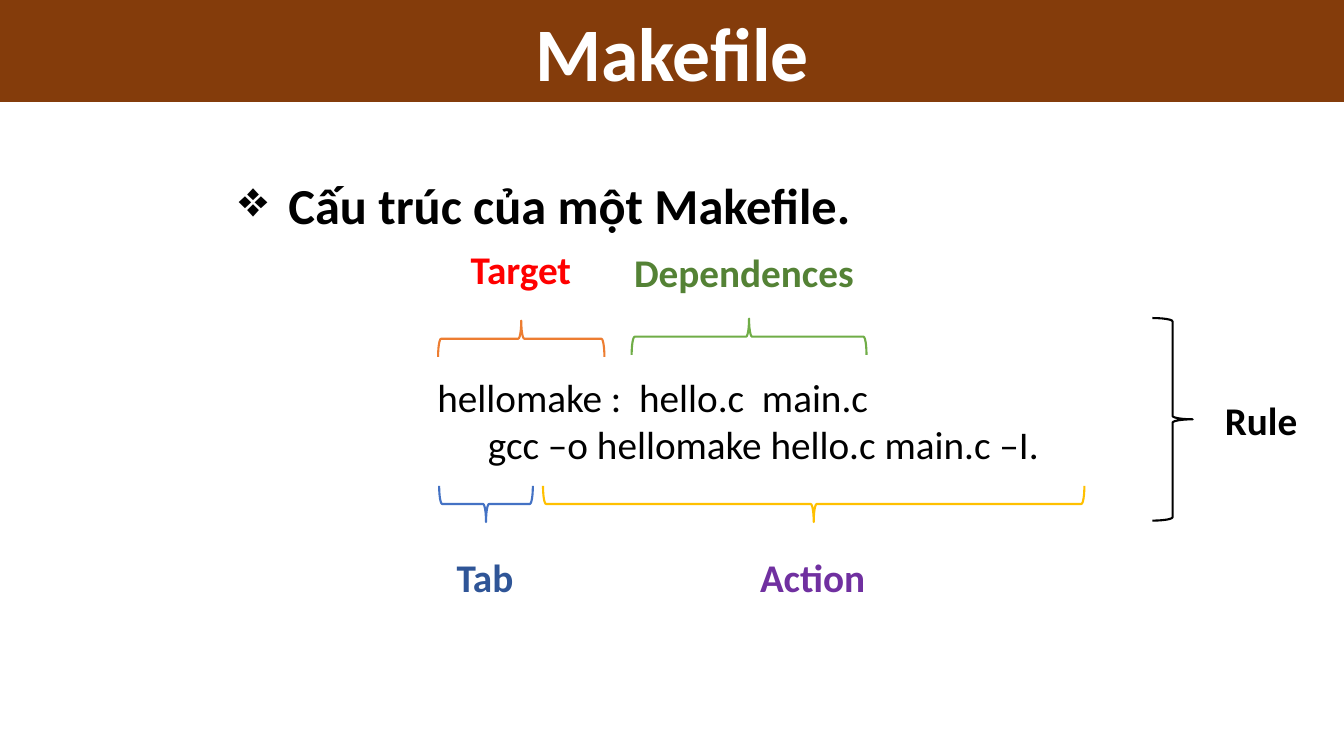
"""Build the slide that explains the parts of a Makefile rule."""
from lxml import etree
from pptx import Presentation
from pptx import util as u
from pptx.dml.color import RGBColor
from pptx.enum import shapes, text
from pptx.oxml.ns import qn

BROWN = RGBColor(0x84, 0x3C, 0x0B)
WHITE = RGBColor(0xFF, 0xFF, 0xFF)
BLACK = RGBColor(0x00, 0x00, 0x00)
RED = RGBColor(0xFF, 0x00, 0x00)
DARK_GREEN = RGBColor(0x54, 0x82, 0x35)
DARK_BLUE = RGBColor(0x2F, 0x55, 0x97)
PURPLE = RGBColor(0x70, 0x30, 0xA0)
ORANGE = RGBColor(0xED, 0x7D, 0x31)
GREEN = RGBColor(0x70, 0xAD, 0x47)
BLUE = RGBColor(0x44, 0x72, 0xC4)
GOLD = RGBColor(0xFF, 0xC0, 0x00)


class MakefileSlide:
    font_name = "Calibri"
    line_width = u.Pt(1.5)

    def __init__(self, slide):
        self.slide = slide

    def style(self, paragraph, size, color, bold):
        font = paragraph.font
        font.name, font.size, font.bold = self.font_name, u.Pt(size), bold
        font.color.rgb = color

    def header(self, title, width, height):
        band = self.slide.shapes.add_shape(
            shapes.MSO_SHAPE.RECTANGLE, 0, 0, u.Inches(width), u.Inches(height))
        band.shadow.inherit = False
        band.fill.solid()
        band.fill.fore_color.rgb = BROWN
        band.line.fill.background()
        frame = band.text_frame
        frame.text = title
        frame.vertical_anchor = text.MSO_ANCHOR.MIDDLE
        frame.paragraphs[0].alignment = text.PP_ALIGN.CENTER
        self.style(frame.paragraphs[0], 54, WHITE, True)

    def label(self, words, left, top, width, height=0.57, size=28, color=BLACK, bold=True):
        box = self.slide.shapes.add_textbox(*map(u.Inches, (left, top, width, height)))
        frame = box.text_frame
        frame.word_wrap = False
        frame.auto_size = text.MSO_AUTO_SIZE.SHAPE_TO_FIT_TEXT
        frame.text = words
        for paragraph in frame.paragraphs:
            self.style(paragraph, size, color, bold)
        return frame

    def bullet(self, words, left, top, width, height):
        frame = self.label(words, left, top, width, height, size=36)
        properties = frame.paragraphs[0]._p.get_or_add_pPr()
        indent = u.Inches(0.38)
        properties.set("marL", str(indent))
        properties.set("indent", str(-indent))
        mark = etree.Element(qn("a:buChar"), char="❖")
        properties.insert(0, mark)

    def brace(self, center_x, center_y, span, color, rotation=0, depth=0.36):
        brace = self.slide.shapes.add_shape(
            shapes.MSO_SHAPE.RIGHT_BRACE,
            u.Inches(center_x - depth / 2), u.Inches(center_y - span / 2),
            u.Inches(depth), u.Inches(span))
        brace.rotation = rotation
        brace.shadow.inherit = False
        brace.fill.background()
        brace.line.color.rgb = color
        brace.line.width = self.line_width


def main():
    deck = Presentation()
    deck.slide_width, deck.slide_height = u.Inches(13.33), u.Inches(7.5)
    page = MakefileSlide(deck.slides.add_slide(deck.slide_layouts[6]))

    page.header("Makefile", 13.33, 1.01)
    page.bullet(" Cấu trúc của một Makefile.", 2.27, 1.68, 6.4, 0.71)
    page.label("hellomake :  hello.c  main.c\n\tgcc –o hellomake hello.c main.c –I.",
               4.24, 3.65, 6.74, 1.04, bold=False)

    above, below = 270, 90
    page.brace(5.17, 3.36, 1.65, ORANGE, above)
    page.brace(7.43, 3.34, 2.33, GREEN, above)
    page.brace(4.82, 5, 0.93, BLUE, below)
    page.brace(8.07, 5, 5.37, GOLD, below)
    page.brace(11.63, 4.16, 2.01, BLACK, depth=0.4)

    page.label("Target", 4.57, 2.38, 1.21, color=RED)
    page.label("Dependences", 6.19, 2.41, 2.4, color=DARK_GREEN)
    page.label("Tab", 4.43, 5.44, 0.77, color=DARK_BLUE)
    page.label("Action", 7.44, 5.44, 1.26, color=PURPLE)
    page.label("Rule", 12.05, 3.88, 0.93)

    deck.save("out.pptx")


if __name__ == "__main__":
    main()
